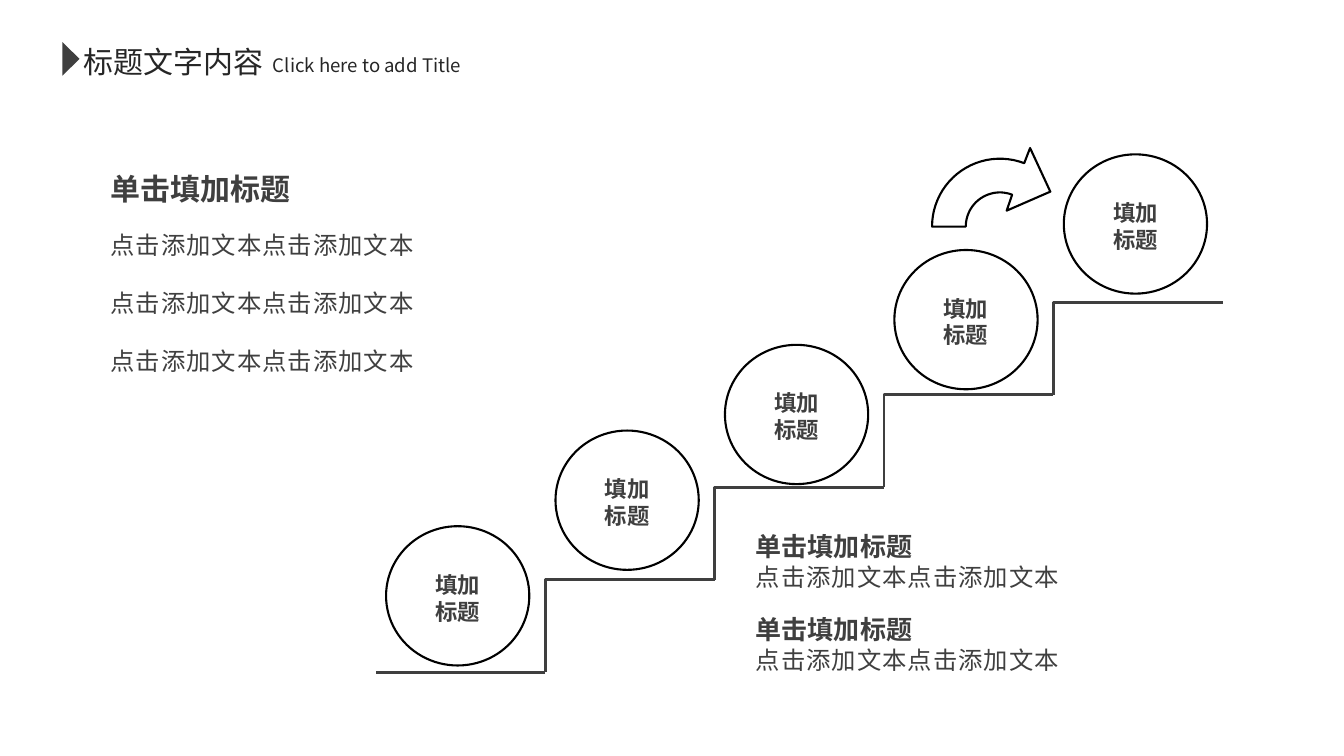
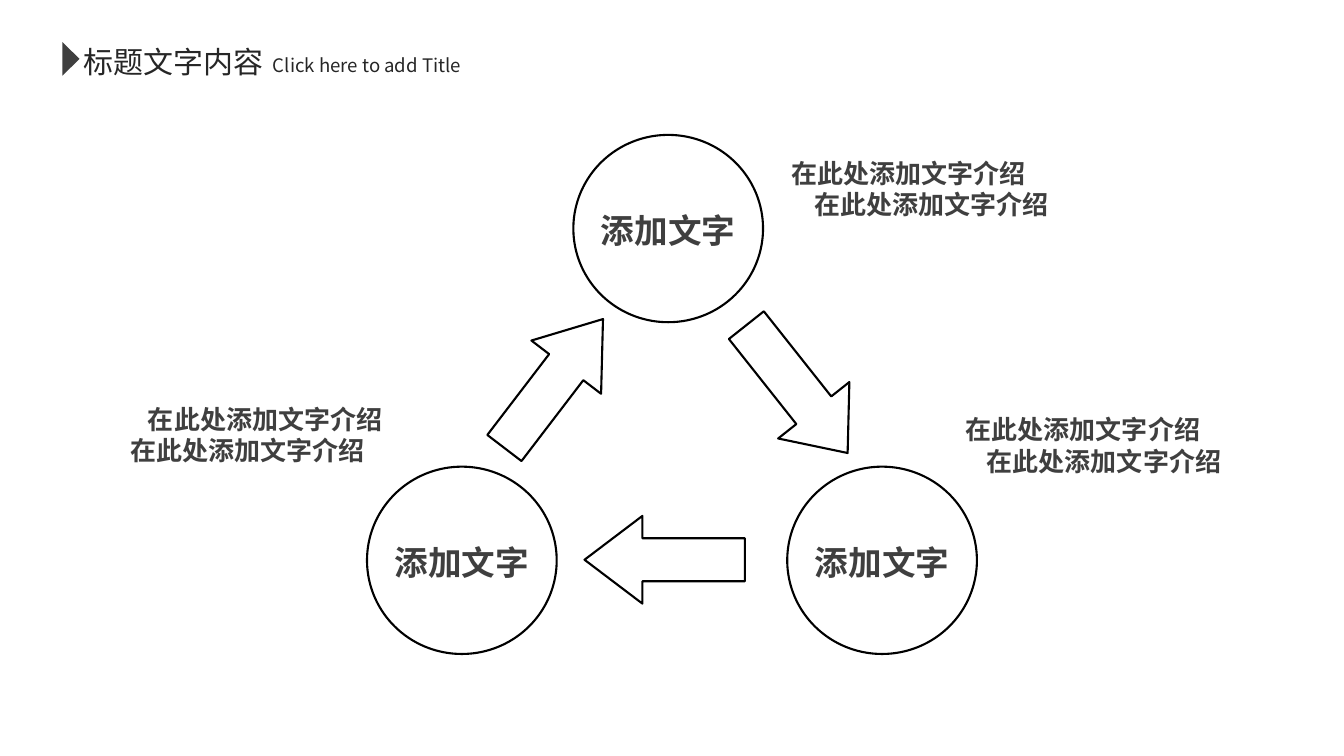
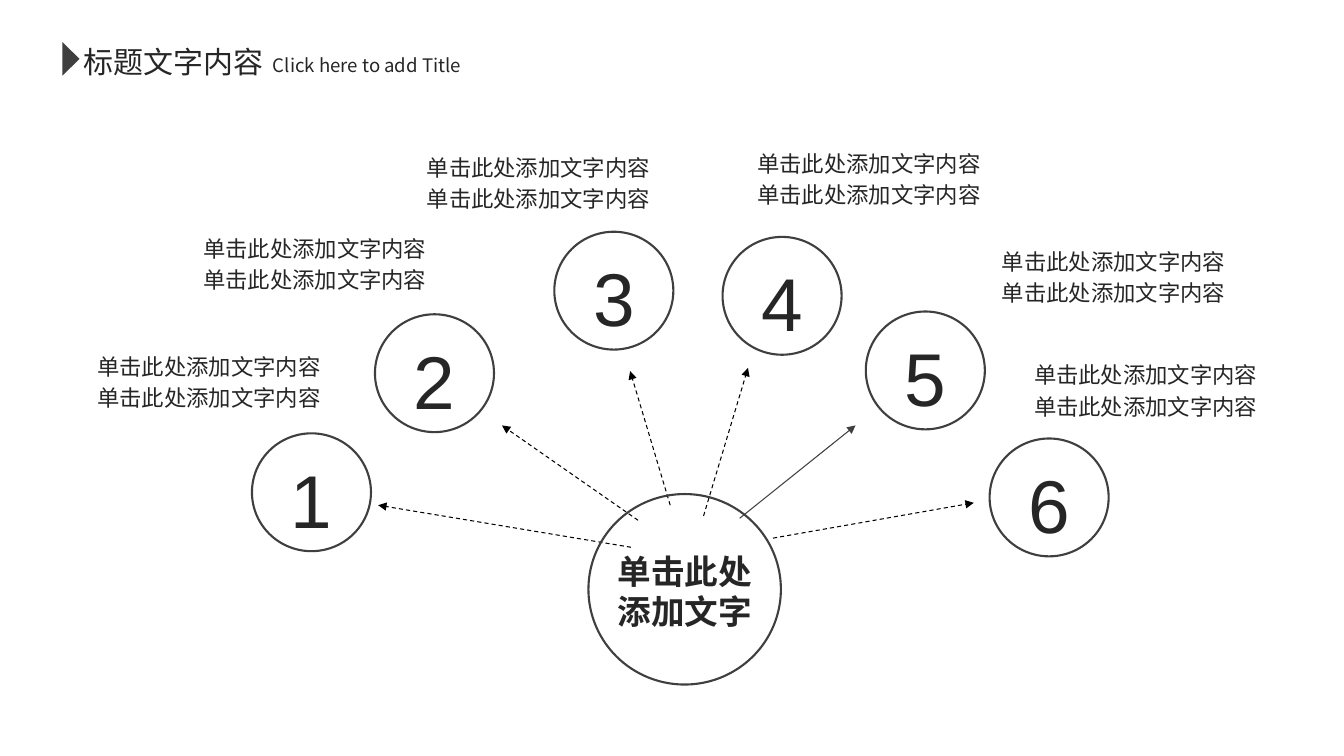
from math import cos, radians, sin

from lxml.etree import SubElement
from pptx import Presentation
from pptx.dml.color import RGBColor
from pptx.enum.dml import MSO_LINE
from pptx.enum.shapes import MSO_CONNECTOR, MSO_SHAPE
from pptx.enum.text import MSO_ANCHOR, PP_ALIGN
from pptx.oxml.ns import qn
from pptx.util import Cm, Pt

BLACK = RGBColor(0x00, 0x00, 0x00)
GREY = RGBColor(0x3F, 0x3F, 0x3F)
DARK = RGBColor(0x26, 0x26, 0x26)
NOTO = "Noto Sans CJK SC"
ARIAL = "Arial"
PITCH = 1.2

TITLE = {"size": 21.4, "name": NOTO, "color": DARK}
SUB = {"size": 13.3, "name": NOTO, "color": DARK}
HEAD = {"size": 21.4, "name": NOTO, "color": GREY, "bold": True}
SMALL = {"size": 18.6, "name": NOTO, "color": GREY, "bold": True}
BODY = {"size": 17.4, "name": NOTO, "color": GREY, "track": 70}
STEP = {"size": 16, "name": NOTO, "color": GREY, "bold": True}
NODE = {"size": 24, "name": ARIAL, "color": GREY, "bold": True}
HINT = {"size": 18.6, "name": ARIAL, "color": GREY, "bold": True}
NOTE = {"size": 16, "name": NOTO, "color": DARK}
DIGIT = {"size": 53.4, "name": ARIAL, "color": DARK}
CORE = {"size": 24, "name": ARIAL, "color": DARK, "bold": True}


def apply(item, values):
    for key, value in values.items():
        setattr(item, key, value)


def write(frame, lines, align=PP_ALIGN.LEFT):
    for index, (text, style, gap, indent) in enumerate(lines):
        para = frame.paragraphs[0] if index == 0 else frame.add_paragraph()
        apply(para, {"alignment": align, "space_before": Pt(gap)})
        if style is not DIGIT:
            para.line_spacing = Pt(round(style["size"] * PITCH, 1))
        if indent:
            para._p.get_or_add_pPr().set("marL", str(Cm(indent)))
        run = para.add_run()
        run.text = text
        apply(run.font, {"size": Pt(style["size"]), "name": style["name"],
                         "bold": style.get("bold", False)})
        run.font.color.rgb = style["color"]
        props = run._r.get_or_add_rPr()
        SubElement(props, qn("a:ea")).set("typeface", NOTO)
        if "track" in style:
            props.set("spc", str(style["track"]))


def add_text(slide, area, lines, align=PP_ALIGN.LEFT, wrap=True):
    frame = slide.shapes.add_textbox(*map(Cm, area)).text_frame
    apply(frame, {"word_wrap": wrap, "margin_left": 0, "margin_right": 0,
                  "margin_top": 0, "margin_bottom": 0})
    write(frame, lines, align)


def trace(shape, color=BLACK, width=1.5):
    shape.shadow.inherit = False
    shape.fill.background()
    shape.line.color.rgb = color
    shape.line.width = Pt(width)


def add_ring(slide, area, texts, style, color=BLACK, drop=0.1):
    ring = slide.shapes.add_shape(MSO_SHAPE.OVAL, *map(Cm, area))
    trace(ring, color)
    frame = ring.text_frame
    apply(frame, {"word_wrap": False, "vertical_anchor": MSO_ANCHOR.MIDDLE,
                  "margin_top": Cm(drop), "margin_bottom": 0})
    write(frame, [(text, style, 0, 0) for text in texts], PP_ALIGN.CENTER)


def add_path(slide, points, color=BLACK, width=1.5, close=False):
    spots = [(Cm(x), Cm(y)) for x, y in points]
    pen = slide.shapes.build_freeform(*spots[0])
    pen.add_line_segments(spots[1:], close=close)
    trace(pen.convert_to_shape(), color, width)


def add_line(slide, start, end, color, width, dash=False, arrow=False):
    line = slide.shapes.add_connector(
        MSO_CONNECTOR.STRAIGHT, *map(Cm, start + end))
    line.line.color.rgb = color
    line.line.width = Pt(width)
    if dash:
        line.line.dash_style = MSO_LINE.DASH
    if arrow:
        SubElement(line.line._get_or_add_ln(),
                   qn("a:tailEnd")).set("type", "triangle")
    SubElement(line._element.spPr, qn("a:effectLst"))


def add_arrow(slide, area, turn, head):
    arrow = slide.shapes.add_shape(MSO_SHAPE.RIGHT_ARROW, *map(Cm, area))
    trace(arrow)
    arrow.rotation = turn
    arrow.adjustments[0] = 0.49
    arrow.adjustments[1] = head


def arc(center, radius, start, end, parts=24):
    angles = [radians(start + (end - start) * i / parts)
              for i in range(parts + 1)]
    return [(center[0] + radius * cos(a), center[1] - radius * sin(a))
            for a in angles]


def new_slide(deck):
    slide = deck.slides.add_slide(deck.slide_layouts[6])
    add_text(slide, (2.11, 1.1, 4.6, 0.91),
             [("标题文字内容", TITLE, 0, 0)], wrap=False)
    mark = slide.shapes.add_shape(
        MSO_SHAPE.ISOSCELES_TRIANGLE, *map(Cm, (1.37, 1.27, 0.84, 0.43)))
    mark.rotation = 90
    mark.shadow.inherit = False
    mark.fill.solid()
    mark.fill.fore_color.rgb = GREY
    mark.line.fill.background()
    add_text(slide, (6.88, 1.35, 4.8, 0.56),
             [("Click here to add Title", SUB, 0, 0)], wrap=False)
    return slide


def draw_stairs(slide):
    left, base, run, rise = 9.47, 16.94, 4.27, 2.33
    add_line(slide, (left + run, base), (left, base), GREY, 2)
    for i in range(1, 5):
        x, y = left + run * i, base - rise * i
        add_path(slide, [(x, y + rise), (x, y), (x + run, y)], GREY, 2)
    for i, top in enumerate((13.26, 10.85, 8.69, 6.3, 3.89)):
        add_ring(slide, (9.73 + run * i, top, 3.61, 3.51),
                 ("填加", "标题"), STEP)

    hub = (25.2, 5.71)
    tip = [(25.96, 3.73), (26.47, 4.83), (25.37, 5.31)]
    add_path(slide, arc(hub, 1.71, 180, 69) + tip + arc(hub, 0.86, 69, 180),
             close=True)

    label, text = "单击填加标题", "点击添加文本点击添加文本"
    add_text(slide, (2.79, 4.29, 10, 5.2),
             [(label, HEAD, 0, 0)]
             + [(text, BODY, gap, 0) for gap in (17, 20.5, 20.5)])
    add_text(slide, (19.05, 13.38, 13.3, 3.7),
             [line for gap in (0, 16)
              for line in ((label, SMALL, gap, 0), (text, BODY, 0, 0))])


def draw_cycle(slide):
    for area, turn, head in (
            ((11.91, 8.56, 4.09, 2.21), 307.4, 0.69),
            ((18.03, 8.66, 4.11, 2.29), 51.6, 0.6),
            ((14.73, 13, 4.04, 2.21), 180, 0.66)):
        add_arrow(slide, area, turn, head)
    for left, top in ((14.45, 3.4), (19.84, 11.76), (9.25, 11.76)):
        add_ring(slide, (left, top, 4.78, 4.72), ("添加文字",), NODE)
    for left, top, indents in (
            (3.28, 10.16, (0.45, 0)),
            (19.94, 3.96, (0, 0.58)),
            (24.34, 10.43, (0, 0.53))):
        add_text(slide, (left, top, 7.5, 1.6),
                 [("在此处添加文字介绍", HINT, 0, n) for n in indents])


def draw_fan(slide):
    right, mid, left = PP_ALIGN.RIGHT, PP_ALIGN.CENTER, PP_ALIGN.LEFT
    spokes = (
        ((6.35, 10.92), (1.98, 8.9), right, (15.9, 13.79), (9.53, 12.73)),
        ((9.45, 7.92), (4.65, 5.92), right, (16.08, 13.11), (12.65, 10.72)),
        ((13.97, 5.84), (10.52, 3.88), mid, (16.89, 12.73), (15.88, 9.35)),
        ((18.21, 5.97), (18.85, 3.78), mid, (17.73, 13), (18.85, 9.27)),
        ((21.82, 7.85), (25.25, 6.25), left, (18.64, 13.06), (21.56, 10.72)),
        ((24.94, 11.05), (26.06, 9.11), left, (19.48, 13.56), (24.54, 12.67)),
    )
    for number, (ring, note, align, start, end) in enumerate(spokes, 1):
        solid = number == 5
        add_line(slide, start, end, GREY if solid else BLACK, 0.75,
                 dash=not solid, arrow=True)
        add_ring(slide, ring + (3, 2.97), (str(number),), DIGIT, GREY, 0.3)
        add_text(slide, note + (6.1, 1.5),
                 [("单击此处添加文字内容", NOTE, gap, 0) for gap in (0, 3.2)],
                 align)
    add_ring(slide, (14.83, 12.45, 4.85, 4.8),
             ("单击此处", "添加文字"), CORE, GREY)


def main():
    deck = Presentation()
    apply(deck, {"slide_width": Cm(33.87), "slide_height": Cm(19.05)})
    for draw in (draw_stairs, draw_cycle, draw_fan):
        draw(new_slide(deck))
    deck.save("out.pptx")


if __name__ == "__main__":
    main()
